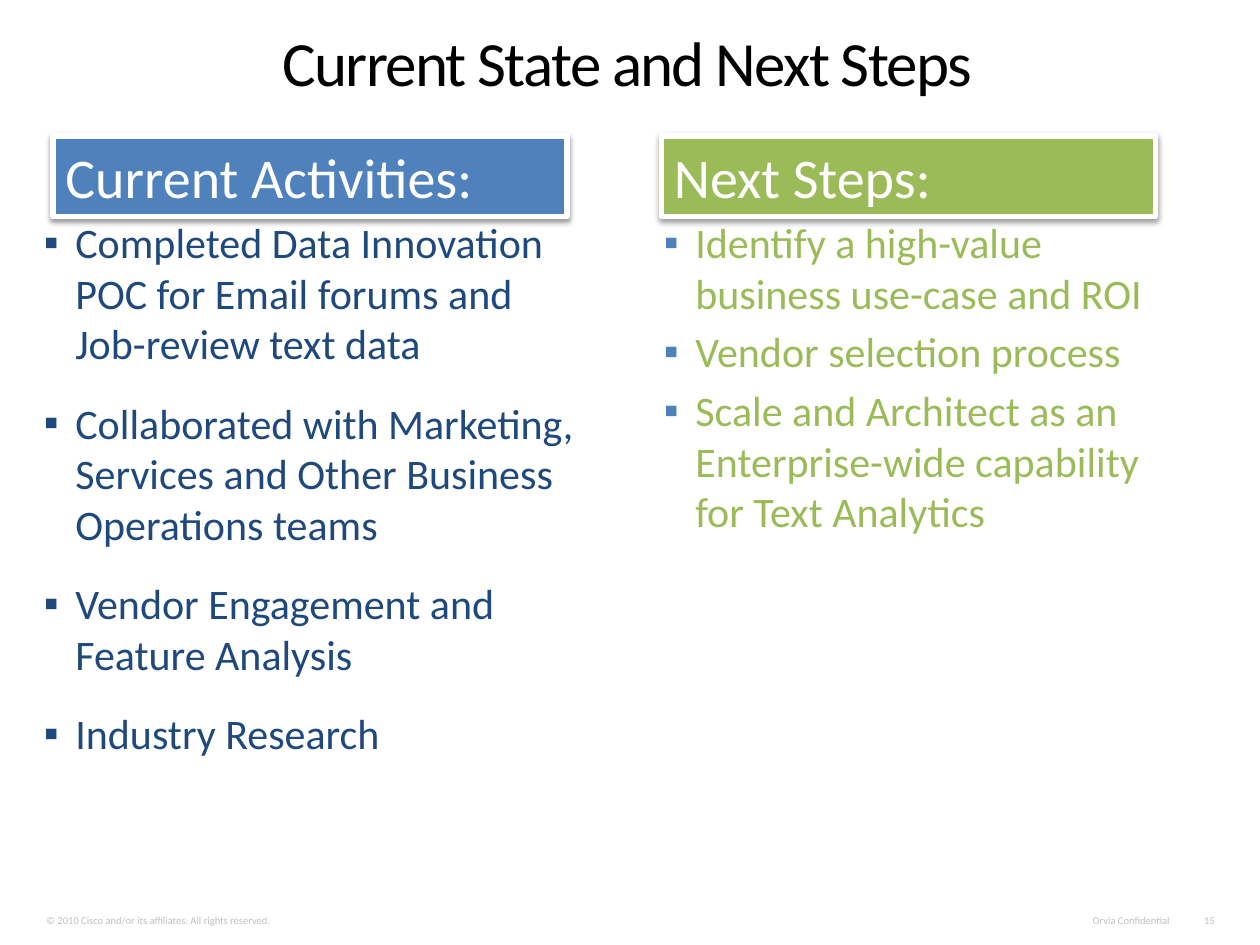
from lxml import etree
from pptx import Presentation
from pptx.dml.color import RGBColor
from pptx.enum.shapes import MSO_SHAPE
from pptx.enum.text import MSO_ANCHOR, PP_ALIGN
from pptx.oxml.ns import qn
from pptx.util import Inches, Pt

RECTANGLE = MSO_SHAPE.RECTANGLE
TOP, BOTTOM = MSO_ANCHOR.TOP, MSO_ANCHOR.BOTTOM
LEFT, CENTER, RIGHT = PP_ALIGN.LEFT, PP_ALIGN.CENTER, PP_ALIGN.RIGHT
FONT = "Calibri"

TITLE = "Current State and Next Steps"
COLUMNS = [
    {
        "heading": "Current Activities:",
        "heading_left": 0.42, "heading_width": 4.08, "fill": "4F81BD",
        "body_left": 0.25, "body_width": 4.53,
        "text_color": "1F497D", "bullet_color": "1F497D", "space_after": 12,
        "items": [
            "Completed Data Innovation POC for Email forums and Job-review text data",
            "Collaborated with Marketing, Services and Other Business Operations teams",
            "Vendor Engagement and Feature Analysis",
            "Industry Research",
        ],
    },
    {
        "heading": "Next Steps:",
        "heading_left": 5.25, "heading_width": 3.92, "fill": "9BBB59",
        "body_left": 5.17, "body_width": 4.38,
        "text_color": "9BBB59", "bullet_color": "4F81BD", "space_after": 0,
        "items": [
            "Identify a high-value business use-case and ROI",
            "Vendor selection process",
            "Scale and Architect as an Enterprise-wide capability for Text Analytics",
        ],
    },
]
# text, left, width, alignment
FOOTERS = [
    ("© 2010 Cisco and/or its affiliates. All rights reserved.", 0.27, 2.81, LEFT),
    ("Orvia Confidential", 8.49, 0.89, RIGHT),
    ("15", 9.46, 0.28, RIGHT),
]


def rgb(value):
    return RGBColor.from_string(value)


def style(paragraph, size, color, alignment=LEFT):
    paragraph.alignment = alignment
    for run in paragraph.runs:
        run.font.name = FONT
        run.font.size = Pt(size)
        run.font.color.rgb = rgb(color)


def add_text(slide, box, text, size, color, alignment=LEFT):
    shape = slide.shapes.add_textbox(*map(Inches, box))
    frame = shape.text_frame
    frame.word_wrap = True
    frame.text = text
    for paragraph in frame.paragraphs:
        style(paragraph, size, color, alignment)
    return shape


def add_footer(slide, text, left, width, alignment):
    shape = add_text(slide, (left, 7.2, width, 0.19), text, 6, "C0C0C0", alignment)
    frame = shape.text_frame
    frame.vertical_anchor = BOTTOM
    frame.margin_top = frame.margin_bottom = Inches(0.04)
    if alignment == RIGHT:
        # The page number box is too narrow for a margin on both sides.
        frame.margin_left = 0


def add_bullet(paragraph, color):
    properties = paragraph._p.get_or_add_pPr()
    properties.set("marL", str(Inches(0.25)))
    properties.set("indent", str(-Inches(0.25)))
    bullet_color = etree.SubElement(properties, qn("a:buClr"))
    etree.SubElement(bullet_color, qn("a:srgbClr"), val=color)
    etree.SubElement(properties, qn("a:buFont"), typeface="Arial")
    etree.SubElement(properties, qn("a:buChar"), char="▪")


def add_soft_shadow(shape):
    shape.shadow.inherit = False
    effects = shape._element.spPr.find(qn("a:effectLst"))
    shadow = etree.SubElement(effects, qn("a:outerShdw"), blurRad=str(Pt(3.1)),
                              dist=str(Pt(1.6)), dir="5400000", rotWithShape="0")
    color = etree.SubElement(shadow, qn("a:srgbClr"), val="000000")
    etree.SubElement(color, qn("a:alpha"), val="38000")


def add_body(slide, column):
    box = (column["body_left"], 1.67, column["body_width"], 4.95)
    shape = add_text(slide, box, "\n".join(column["items"]), 24, column["text_color"])
    for index, paragraph in enumerate(shape.text_frame.paragraphs):
        add_bullet(paragraph, column["bullet_color"])
        paragraph.space_before = Pt(4.8 if index else 0)
        paragraph.space_after = Pt(column["space_after"])


def add_heading(slide, column):
    box = (column["heading_left"], 1.08, column["heading_width"], 0.64)
    shape = slide.shapes.add_shape(RECTANGLE, *map(Inches, box))
    shape.fill.solid()
    shape.fill.fore_color.rgb = rgb(column["fill"])
    shape.line.color.rgb = rgb("FFFFFF")
    shape.line.width = Pt(3)
    add_soft_shadow(shape)
    frame = shape.text_frame
    frame.vertical_anchor = TOP
    frame.text = column["heading"]
    style(frame.paragraphs[0], 32, "FFFFFF")


def main():
    presentation = Presentation()
    presentation.slide_width, presentation.slide_height = Inches(10), Inches(7.5)
    slide = presentation.slides.add_slide(presentation.slide_layouts[6])

    for footer in FOOTERS:
        add_footer(slide, *footer)

    for column in COLUMNS:
        add_body(slide, column)

    title = add_text(slide, (-0.02, 0.25, 10, 0.92), TITLE, 36, "000000", CENTER)
    paragraph = title.text_frame.paragraphs[0]
    paragraph.line_spacing = 0.8
    paragraph.runs[0]._r.get_or_add_rPr().set("spc", "-100")

    for column in COLUMNS:
        add_heading(slide, column)

    presentation.save("out.pptx")


if __name__ == "__main__":
    main()
